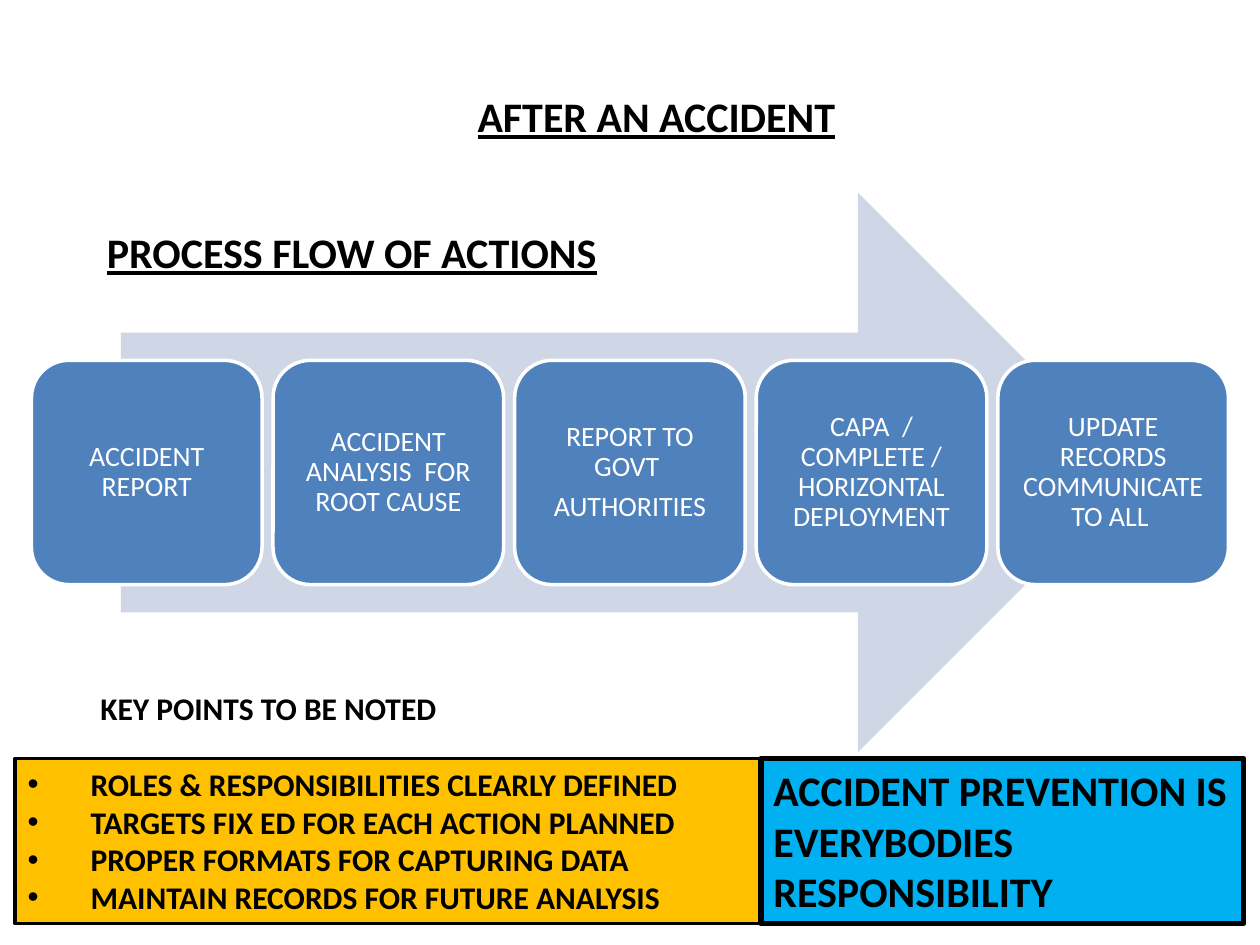
from pptx import Presentation
from pptx.dml.color import RGBColor
from pptx.enum.shapes import MSO_SHAPE as Shape
from pptx.enum.text import MSO_ANCHOR as Anchor, PP_ALIGN as Align
from pptx.oxml.ns import qn
from pptx.util import Inches, Pt
from lxml.etree import SubElement

BLACK = RGBColor(0x00, 0x00, 0x00)
WHITE = RGBColor(0xFF, 0xFF, 0xFF)
PALE_BLUE = RGBColor(0xCF, 0xD7, 0xE7)
STEP_BLUE = RGBColor(0x4F, 0x81, 0xBD)
AMBER = RGBColor(0xFF, 0xC0, 0x00)
SKY_BLUE = RGBColor(0x00, 0xB0, 0xF0)

# text, (left, top, width, height), size, underline, alignment
HEADINGS = [
    ("AFTER AN ACCIDENT", (2.5, 0.67, 5.42, 0.5), 24, True, Align.CENTER),
    ("PROCESS FLOW OF ACTIONS", (0.75, 1.75, 4.17, 0.5), 24, True, Align.LEFT),
    ("KEY POINTS TO BE NOTED", (0.67, 5.42, 2.92, 0.4), 18, False, Align.CENTER),
]
STEPS = [
    ["ACCIDENT REPORT"],
    ["ACCIDENT ANALYSIS  FOR ROOT CAUSE"],
    ["REPORT TO GOVT ", "AUTHORITIES"],
    ["CAPA  / COMPLETE / HORIZONTAL DEPLOYMENT"],
    ["UPDATE RECORDS COMMUNICATE TO ALL "],
]
KEY_POINTS = [
    "ROLES & RESPONSIBILITIES CLEARLY DEFINED",
    "TARGETS FIX ED FOR EACH ACTION PLANNED",
    "PROPER FORMATS FOR CAPTURING DATA",
    "MAINTAIN RECORDS FOR FUTURE ANALYSIS",
]
SLOGAN = ["ACCIDENT PREVENTION IS EVERYBODIES RESPONSIBILITY"]

PAGE_WIDTH, PAGE_HEIGHT = 10, 7.5
STEP_MARGIN, STEP_TOP, STEP_WIDTH, STEP_HEIGHT = 0.25, 2.86, 1.83, 1.78
STEP_PITCH = (PAGE_WIDTH - 2 * STEP_MARGIN - STEP_WIDTH) / (len(STEPS) - 1)


def add_panel(page, kind, bounds, fill, line=None, line_width=0):
    panel = page.shapes.add_shape(kind, *map(Inches, bounds))
    panel.shadow.inherit = False
    panel.fill.solid()
    panel.fill.fore_color.rgb = fill
    if line is None:
        panel.line.fill.background()
    else:
        panel.line.color.rgb = line
        panel.line.width = Pt(line_width)
    return panel


def write(box, lines, size, color=BLACK, bold=True, underline=None,
          align=Align.LEFT, anchor=Anchor.TOP):
    frame = box.text_frame
    frame.word_wrap = True
    frame.vertical_anchor = anchor
    frame.text = "\n".join(lines)
    for para in frame.paragraphs:
        para.alignment = align
        for span in para.runs:
            font = span.font
            font.name, font.size = "Calibri", Pt(size)
            font.bold, font.underline = bold, underline
            font.color.rgb = color
    return frame


def add_bullet(para, indent):
    props = para._p.get_or_add_pPr()
    props.set("marL", str(Inches(indent)))
    props.set("indent", str(-Inches(indent)))
    SubElement(props, qn("a:buFont"), typeface="Arial")
    SubElement(props, qn("a:buChar"), char="•")


def add_step(page, index, lines):
    bounds = (STEP_MARGIN + index * STEP_PITCH, STEP_TOP, STEP_WIDTH, STEP_HEIGHT)
    box = add_panel(page, Shape.ROUNDED_RECTANGLE, bounds, STEP_BLUE, WHITE, 2)
    frame = write(box, lines, 16, WHITE, False, align=Align.CENTER, anchor=Anchor.MIDDLE)
    frame.margin_left = frame.margin_right = Inches(0.07)
    frame.margin_top = frame.margin_bottom = Inches(0.07)
    for position, para in enumerate(frame.paragraphs):
        para.line_spacing = 0.9
        if position:
            para.space_before = Pt(5.6)


def main():
    deck = Presentation()
    deck.slide_width, deck.slide_height = Inches(PAGE_WIDTH), Inches(PAGE_HEIGHT)
    page = deck.slides.add_slide(deck.slide_layouts[6])

    add_panel(page, Shape.RIGHT_ARROW, (0.96, 1.53, 8.07, 4.44), PALE_BLUE)
    for index, lines in enumerate(STEPS):
        add_step(page, index, lines)

    points = add_panel(page, Shape.RECTANGLE, (0.12, 6.02, 9.75, 1.31), AMBER, BLACK, 2.25)
    for para in write(points, KEY_POINTS, 18).paragraphs:
        add_bullet(para, 0.5)

    for text, bounds, size, underline, align in HEADINGS:
        box = page.shapes.add_textbox(*map(Inches, bounds))
        write(box, [text], size, underline=underline, align=align)

    slogan = add_panel(page, Shape.RECTANGLE, (6.04, 6.02, 3.83, 1.31), SKY_BLUE, BLACK, 3)
    write(slogan, SLOGAN, 24)

    deck.save("out.pptx")


if __name__ == "__main__":
    main()
